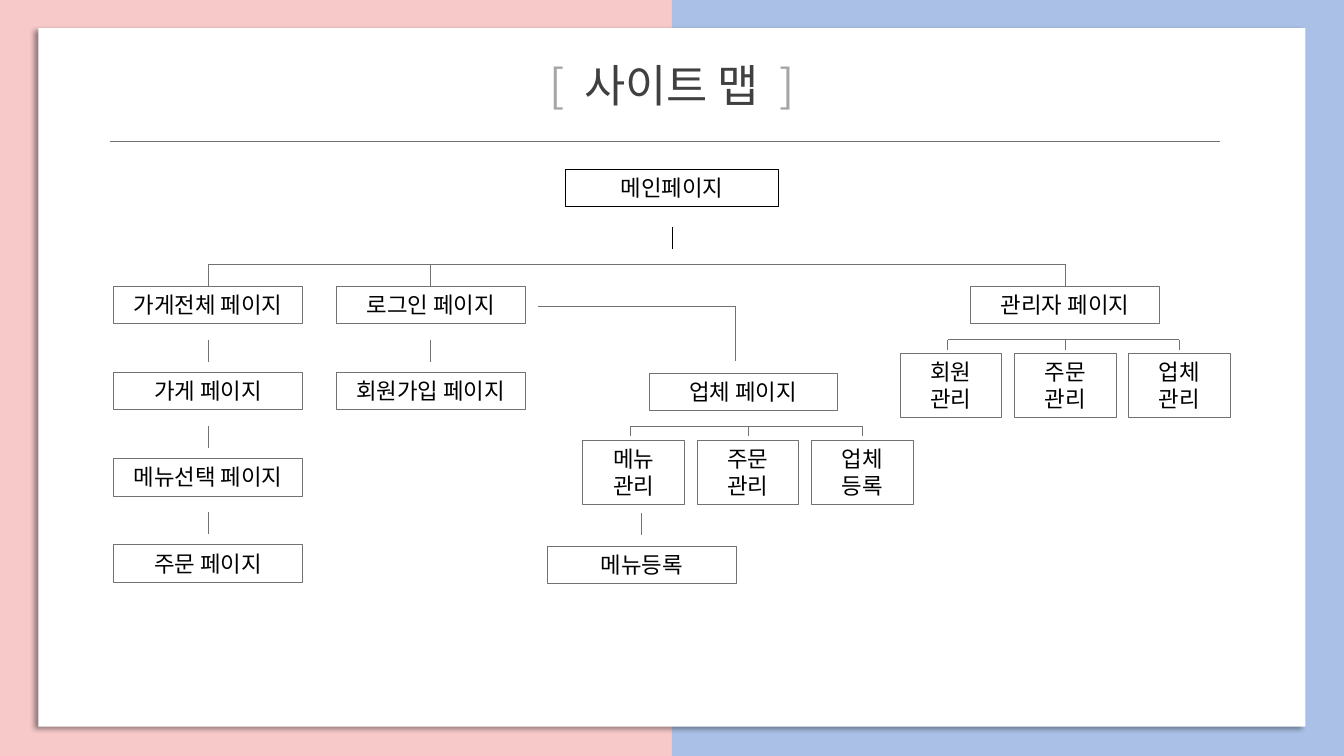
from lxml import etree
from pptx import Presentation, util as u
from pptx.dml.color import RGBColor
from pptx.enum import shapes, text
from pptx.oxml import parse_xml
from pptx.oxml.ns import qn

NS = 'xmlns:a="http://schemas.openxmlformats.org/drawingml/2006/main"'
GLOW = (f'<a:effectLst {NS}><a:outerShdw blurRad="50800" dist="38100" dir="8100000" '
        'algn="tr" rotWithShape="0"><a:srgbClr val="000000"><a:alpha val="40000"/>'
        '</a:srgbClr></a:outerShdw></a:effectLst>')


def hue(code):
    return RGBColor.from_string(code)


def write(frame, lines, font="Noto Sans CJK KR", size=16, gap=None,
          anchor=text.MSO_ANCHOR.TOP, fit=text.MSO_AUTO_SIZE.NONE):
    frame.word_wrap = True
    frame.auto_size = fit
    frame.vertical_anchor = anchor
    for i, line in enumerate(lines):
        para = frame.add_paragraph() if i else frame.paragraphs[0]
        para.alignment = text.PP_ALIGN.CENTER
        para.line_spacing = gap
        for words, color in line:
            run = para.add_run()
            run.text = words
            run.font.size = u.Pt(size)
            run.font.name = font
            run.font.color.rgb = hue(color)
            etree.SubElement(run.font._element, qn("a:ea"), typeface=font)


class Board:
    cols, rows = 40, 30
    ink, gray = "000000", "767171"
    wide, tall = 5.61, 1.48

    def __init__(self, deck):
        self.deck = deck
        self.slide = deck.slides.add_slide(deck.slide_layouts[5])
        self.tree = self.slide.shapes

    def x(self, col):
        return round(self.deck.slide_width * col / self.cols)

    def y(self, row):
        return round(self.deck.slide_height * row / self.rows)

    def area(self, left, top, width, height):
        return self.x(left), self.y(top), self.x(width), self.y(height)

    def rect(self, *area, fill=None, edge=None, weight=0.5):
        shape = self.tree.add_shape(shapes.MSO_SHAPE.RECTANGLE, *self.area(*area))
        shape.shadow.inherit = False
        if fill:
            shape.fill.solid()
            shape.fill.fore_color.rgb = hue(fill)
        else:
            shape.fill.background()
        if edge:
            shape.line.color.rgb = hue(edge)
            shape.line.width = u.Pt(weight)
        else:
            shape.line.fill.background()
        return shape

    def card(self, *area):
        props = self.rect(*area, fill="FFFFFF")._element.spPr
        props.replace(props.find(qn("a:effectLst")), parse_xml(GLOW))

    def title(self, *area, parts):
        head = self.tree.title
        head.left, head.top, head.width, head.height = self.area(*area)
        write(head.text_frame, [parts], size=32, gap=0.9, anchor=text.MSO_ANCHOR.MIDDLE)
        self.tree._spTree.append(head._element)

    def box(self, mid, top, *lines, width=wide, height=tall, edge=gray, weight=0.5):
        shape = self.rect(mid - width / 2, top, width, height, edge=edge, weight=weight)
        write(shape.text_frame, [[(line, self.ink)] for line in lines],
              fit=text.MSO_AUTO_SIZE.SHAPE_TO_FIT_TEXT)

    def line(self, x1, y1, x2, y2, color=gray):
        link = self.tree.add_connector(shapes.MSO_CONNECTOR.STRAIGHT, self.x(x1),
                                       self.y(y1), self.x(x2), self.y(y2))
        link.line.color.rgb = hue(color)
        link.line.width = u.Pt(0.5)
        etree.SubElement(link._element.spPr, qn("a:effectLst"))

    def tick(self, mid, top, size=0.88, color=gray):
        self.line(mid, top, mid, top + size, color)

    def fork(self, mids, top, size):
        self.line(mids[0], top, mids[-1], top)
        for mid in mids:
            self.tick(mid, top, size)

    def chain(self, mid, top, names, step=3.42):
        for i, name in enumerate(names):
            if i:
                self.tick(mid, top + i * step - 1.3)
            self.box(mid, top + i * step, name)

    def group(self, mid, top, names):
        self.fork([mid - 3.5, mid, mid + 3.4], top, 0.4)
        for i, name in enumerate(names):
            self.box(mid + (i - 1) * 3.4, top + 0.54, *name.split(), width=3.03, height=2.56)


def main():
    deck = Presentation()
    deck.slide_width, deck.slide_height = u.Inches(40 / 3), u.Inches(7.5)
    b = Board(deck)
    b.rect(0, 0, 20, 30, fill="F7C9C9")
    b.rect(20, 0, 20, 30, fill="AAC0E7")
    b.card(1.14, 1.12, 37.71, 27.72)
    b.title(11.01, 2.32, 17.97, 2.36,
            parts=[("[  ", "A6A6A6"), ("사이트 맵  ", "404040"), ("]", "A6A6A6")])
    b.line(3.27, 5.62, 36.3, 5.62)

    shop, login, admin, store, menu = 6.19, 12.82, 31.7, 22.12, 19.1
    top = 11.36
    b.box(20, 6.72, "메인페이지", width=6.33, edge=b.ink, weight=0.75)
    b.tick(20, 9, color=b.ink)
    b.fork([shop, login, admin], 10.48, 0.88)
    b.chain(shop, top, ["가게전체 페이지", "가게 페이지", "메뉴선택 페이지", "주문 페이지"])
    b.chain(login, top, ["로그인 페이지", "회원가입 페이지"])
    b.chain(admin, top, ["관리자 페이지"])
    b.group(admin, 13.48, ["회원 관리", "주문 관리", "업체 관리"])

    b.line(16.02, 12.16, 21.9, 12.16)
    b.tick(21.9, 12.16, 2.16)
    b.chain(store, 14.8, ["업체 페이지"])
    b.group(22.26, 16.92, ["메뉴 관리", "주문 관리", "업체 등록"])
    b.tick(menu, 20.36)
    b.box(menu, 21.68, "메뉴등록")
    deck.save("out.pptx")


if __name__ == "__main__":
    main()
